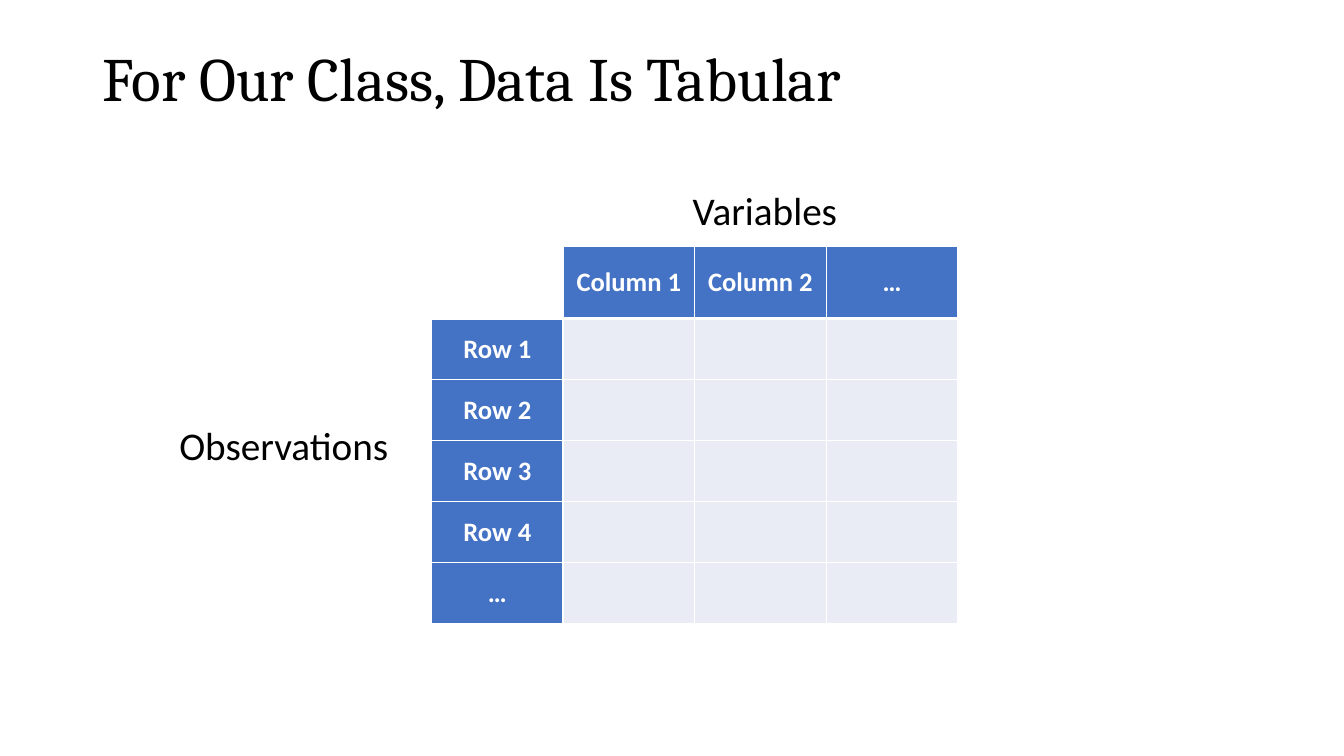
import pptx
import pptx.util
import pptx.dml.color
import pptx.enum.text
import pptx.oxml
import pptx.oxml.ns
from pptx.util import Inches, Pt

# Content
TITLE = "For Our Class, Data Is Tabular"
COLUMNS = ["Column 1", "Column 2", "…"]
ROWS = ["Row 1", "Row 2", "Row 3", "Row 4", "…"]
LABELS = [("Variables", 6.77, 1.8), ("Observations", 1.68, 4.13)]

# Colours and table geometry
BLACK, WHITE, BLUE, PALE = "000000", "FFFFFF", "4472C4", "E9EBF5"
LEFT, TOP, WIDTH, HEIGHT = 4.28, 2.44, 5.22, 3.75
HEADER_HEIGHT = 0.72

ALIGN = pptx.enum.text.PP_ALIGN
ANCHOR = pptx.enum.text.MSO_ANCHOR
AUTO_SIZE = pptx.enum.text.MSO_AUTO_SIZE


def rgb(color):
    return pptx.dml.color.RGBColor.from_string(color)


def add_run(p, text, size, font, color, bold=False):
    r = p.add_run()
    r.text = text
    r.font.size = Pt(size)
    r.font.name = font
    r.font.bold = bold
    r.font.color.rgb = rgb(color)


def set_borders(cell, widths):
    """Draw white borders; widths gives points for each side."""
    tc_pr = cell._tc.get_or_add_tcPr()
    ns = pptx.oxml.ns.nsdecls("a")
    for i, (side, width) in enumerate(widths.items()):
        tc_pr.insert(i, pptx.oxml.parse_xml(
            f'<a:ln{side} {ns} w="{Pt(width)}"><a:solidFill>'
            f'<a:srgbClr val="{WHITE}"/></a:solidFill></a:ln{side}>'))


prs = pptx.Presentation()
prs.slide_width, prs.slide_height = Inches(13.33), Inches(7.5)
s = prs.slides.add_slide(prs.slide_layouts[5])

# Title
title = s.shapes.title
title.left, title.top = Inches(0.92), Inches(0.08)
title.width, title.height = Inches(11.5), Inches(1.45)
tf = title.text_frame
tf.auto_size = AUTO_SIZE.NONE
tf.vertical_anchor = ANCHOR.MIDDLE
p = tf.paragraphs[0]
p.alignment = ALIGN.LEFT
p.line_spacing = 0.9
add_run(p, TITLE, 44, "Cambria", BLACK)

# Table: a header row and a header column around empty cells
grid = [[""] + COLUMNS] + [[row] + [""] * len(COLUMNS) for row in ROWS]
table = s.shapes.add_table(len(grid), len(grid[0]), Inches(LEFT), Inches(TOP),
                           Inches(WIDTH), Inches(HEIGHT)).table
for column in table.columns:
    column.width = Inches(WIDTH / len(grid[0]))
for i, row in enumerate(table.rows):
    row.height = Inches((HEIGHT - HEADER_HEIGHT) / len(ROWS) if i else HEADER_HEIGHT)

for i, texts in enumerate(grid):
    for j, text in enumerate(texts):
        cell = table.cell(i, j)
        cell.vertical_anchor = ANCHOR.MIDDLE
        cell.fill.solid()
        empty_fill = PALE if i and j else WHITE
        cell.fill.fore_color.rgb = rgb(BLUE if text else empty_fill)
        set_borders(cell, {"L": 1, "R": 1, "T": 3 if i == 1 else 1,
                           "B": 3 if i == 0 else 1})
        if text:
            p = cell.text_frame.paragraphs[0]
            p.alignment = ALIGN.CENTER
            add_run(p, text, 19, "Calibri", WHITE, bold=True)

# Labels beside the table
for text, left, top in LABELS:
    label = s.shapes.add_textbox(Inches(left), Inches(top), Inches(2.81), Inches(0.57))
    tf = label.text_frame
    tf.word_wrap = True
    tf.auto_size = AUTO_SIZE.SHAPE_TO_FIT_TEXT
    add_run(tf.paragraphs[0], text, 28, "Calibri", BLACK)

prs.save("out.pptx")
